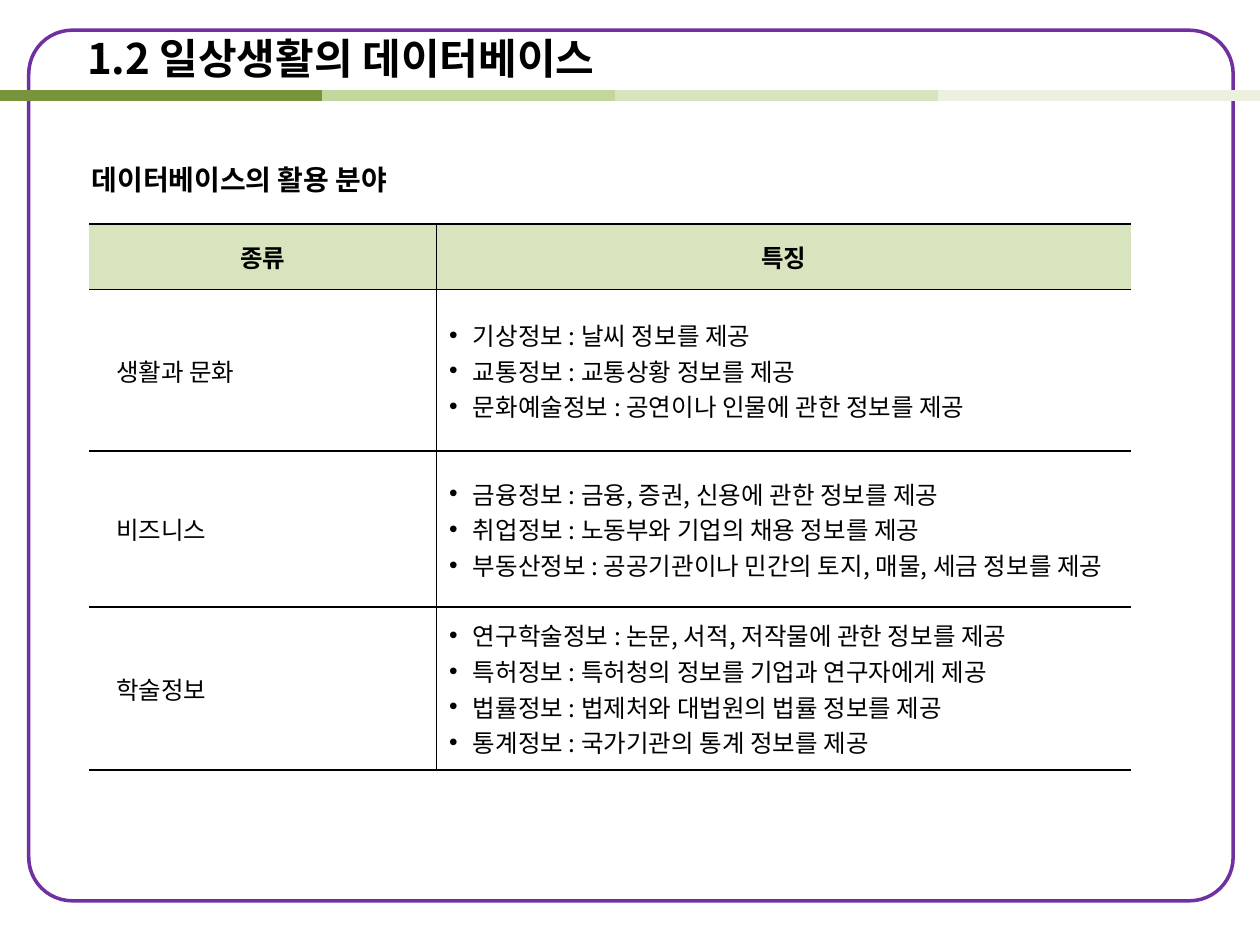
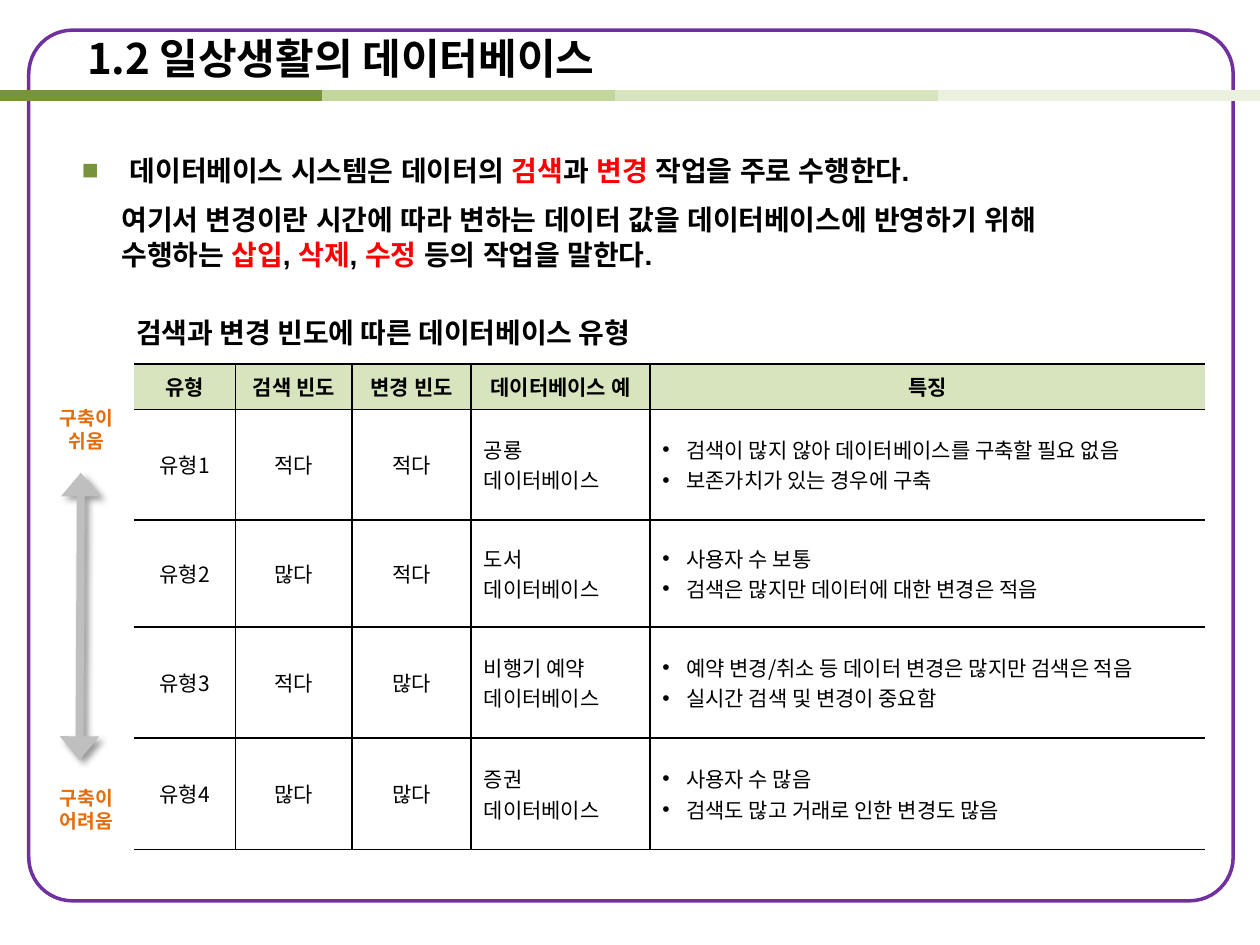
"""Builds two slides on databases in daily life, each with a table."""
from lxml.etree import SubElement
from pptx import Presentation
from pptx.dml.color import RGBColor
from pptx.enum.shapes import MSO_CONNECTOR, MSO_SHAPE
from pptx.enum.text import MSO_ANCHOR, PP_ALIGN
from pptx.oxml import parse_xml
from pptx.oxml.ns import nsdecls, qn
from pptx.util import Cm, Pt

FACE = "Noto Sans CJK KR"
BLACK, WHITE, RED, ORANGE = "000000", "FFFFFF", "FF0000", "E46C0A"
PURPLE, GRAY, GREEN, PALE = "7030A0", "BFBFBF", "77933C", "D7E4BD"
BANDS = [(0, 6.5, GREEN), (6.5, 12.4, "C3D69B"), (12.4, 18.9, PALE), (18.9, 25.4, "EBF1DE")]
hue = RGBColor.from_string


def style(frame, size, color=BLACK, bold=True, face=FACE):
    """Format every run of a text frame and centre it vertically."""
    frame.vertical_anchor = MSO_ANCHOR.MIDDLE
    for par in frame.paragraphs:
        for run in par.runs:
            font = run.font
            font.size, font.bold = Pt(size), bold
            font.color.rgb = hue(color)
            font.name = face
            props = run._r.get_or_add_rPr()
            props.set("kern", "0")
            SubElement(props, qn("a:ea")).set("typeface", face)


def mark(par, sign, width, color):
    """Give a paragraph a bullet with a hanging indent."""
    props = par._p.get_or_add_pPr()
    props.set("marL", str(Cm(width)))
    props.set("indent", str(-Cm(width)))
    tint = SubElement(props, qn("a:buClr"))
    SubElement(tint, qn("a:srgbClr")).set("val", color)
    SubElement(props, qn("a:buFont")).set("typeface", "Arial")
    SubElement(props, qn("a:buChar")).set("char", sign)


fields = [
    ["종류", "특징"],
    ["생활과 문화",
     "기상정보 : 날씨 정보를 제공\n교통정보 : 교통상황 정보를 제공\n"
     "문화예술정보 : 공연이나 인물에 관한 정보를 제공"],
    ["비즈니스",
     "금융정보 : 금융, 증권, 신용에 관한 정보를 제공\n"
     "취업정보 : 노동부와 기업의 채용 정보를 제공\n"
     "부동산정보 : 공공기관이나 민간의 토지, 매물, 세금 정보를 제공"],
    ["학술정보",
     "연구학술정보 : 논문, 서적, 저작물에 관한 정보를 제공\n"
     "특허정보 : 특허청의 정보를 기업과 연구자에게 제공\n"
     "법률정보 : 법제처와 대법원의 법률 정보를 제공\n"
     "통계정보 : 국가기관의 통계 정보를 제공"],
]
types = [
    ["유형", "검색 빈도", "변경 빈도", "데이터베이스 예", "특징"],
    ["유형1", "적다", "적다", "공룡\n데이터베이스",
     "검색이 많지 않아 데이터베이스를 구축할 필요 없음\n보존가치가 있는 경우에 구축"],
    ["유형2", "많다", "적다", "도서\n데이터베이스",
     "사용자 수 보통\n검색은 많지만 데이터에 대한 변경은 적음"],
    ["유형3", "적다", "많다", "비행기 예약\n데이터베이스",
     "예약 변경/취소 등 데이터 변경은 많지만 검색은 적음\n실시간 검색 및 변경이 중요함"],
    ["유형4", "많다", "많다", "증권\n데이터베이스",
     "사용자 수 많음\n검색도 많고 거래로 인한 변경도 많음"],
]
pages = [
    dict(head="데이터베이스의 활용 분야", box=(1.6, 3.23, 7.9, 0.79), data=fields,
         spot=(1.8, 4.52), cols=[7, 14], rows=[1.32, 3.25, 3.15, 3.28],
         size=14, mid=0, pad=0.54),
    dict(head="검색과 변경 빈도에 따른 데이터베이스 유형", box=(2.5, 6.3, 11.4, 0.79), data=types,
         spot=(2.7, 7.34), cols=[2.05, 2.35, 2.4, 3.6, 11.2],
         rows=[0.91, 2.23, 2.16, 2.24, 2.24], size=12, mid=3, pad=0.25),
]

deck = Presentation()
deck.slide_width, deck.slide_height = Cm(25.4), Cm(19.05)

for page in pages:
    slide = deck.slides.add_slide(deck.slide_layouts[5])
    shapes = slide.shapes

    frame = shapes.add_shape(MSO_SHAPE.ROUNDED_RECTANGLE, Cm(0.58), Cm(0.61), Cm(24.28), Cm(17.55))
    frame.adjustments[0] = 0.05
    frame.shadow.inherit = False
    frame.fill.background()
    frame.line.color.rgb = hue(PURPLE)
    frame.line.width = Pt(2)
    for start, end, color in BANDS:
        band = shapes.add_connector(MSO_CONNECTOR.STRAIGHT, Cm(start), Cm(1.93), Cm(end), Cm(1.93))
        band.line.color.rgb = hue(color)
        band.line.width = Pt(6)
        SubElement(band._element.spPr, qn("a:effectLst"))

    title = shapes.title
    title.left, title.top, title.width, title.height = Cm(1.5), Cm(0.41), Cm(21), Cm(1.52)
    title.text_frame.text = "1.2 일상생활의 데이터베이스"
    title.text_frame.paragraphs[0].alignment = PP_ALIGN.LEFT
    style(title.text_frame, 24)

    head = shapes.add_textbox(*map(Cm, page["box"])).text_frame
    head.word_wrap = True
    head.text = page["head"]
    style(head, 16)

    data, cols, rows = page["data"], page["cols"], page["rows"]
    last = len(cols) - 1
    area = map(Cm, (*page["spot"], sum(cols), sum(rows)))
    table = shapes.add_table(len(rows), len(cols), *area).table
    table.first_row = table.horz_banding = False
    for col, width in zip(table.columns, cols):
        col.width = Cm(width)
    for row, height in zip(table.rows, rows):
        row.height = Cm(height)
    for r, line in enumerate(data):
        for c, text in enumerate(line):
            cell = table.cell(r, c)
            cell.text_frame.text = text
            style(cell.text_frame, page["size"], bold=r == 0)
            cell.vertical_anchor = MSO_ANCHOR.MIDDLE
            if r and c == 0:
                cell.margin_left = Cm(page["pad"])
            for par in cell.text_frame.paragraphs:
                if r == 0 or c < page["mid"]:
                    par.alignment = PP_ALIGN.CENTER
                elif c == last:
                    mark(par, "•", 0.48, BLACK)
            props = cell._tc.get_or_add_tcPr()
            for side, shown in zip("LRTB", (c > 0, c < last, True, True)):
                edge = SubElement(props, qn(f"a:ln{side}"), w=str(Pt(1)))
                if shown:
                    paint = SubElement(edge, qn("a:solidFill"))
                    SubElement(paint, qn("a:srgbClr")).set("val", BLACK)
                else:
                    SubElement(edge, qn("a:noFill"))
            cell.fill.solid()
            cell.fill.fore_color.rgb = hue(WHITE if r else PALE)

body = shapes.add_textbox(Cm(1.4), Cm(2.97), Cm(23.29), Cm(15.19)).text_frame
body.word_wrap = True
lines = [
    ("데이터베이스 시스템은 데이터의 *검색*과 *변경* 작업을 주로 수행한다.", 19),
    ("여기서 변경이란 시간에 따라 변하는 데이터 값을 데이터베이스에 반영하기 위해", 28.5),
    ("수행하는 *삽입*, *삭제*, *수정* 등의 작업을 말한다.", 19.5),
]
for i, (text, gap) in enumerate(lines):
    par = body.add_paragraph() if i else body.paragraphs[0]
    par.line_spacing = Pt(gap)
    for part in text.split("*"):
        par.add_run().text = part
    if i:
        par._p.get_or_add_pPr().set("marL", str(Cm(0.8)))
    else:
        mark(par, "■", 0.97, GREEN)
style(body, 16, face="Arial")
body.vertical_anchor = MSO_ANCHOR.TOP
for par in body.paragraphs:
    for run in par.runs[1::2]:
        run.font.color.rgb = hue(RED)

arrow = shapes.add_connector(MSO_CONNECTOR.STRAIGHT, Cm(1.63), Cm(9.53), Cm(1.6), Cm(15.32))
arrow.line.color.rgb = hue(GRAY)
arrow.line.width = Pt(4.5)
edge = arrow._element.spPr.find(qn("a:ln"))
for end in ("headEnd", "tailEnd"):
    SubElement(edge, qn(f"a:{end}"), type="triangle", w="lg", len="med")
arrow._element.spPr.append(parse_xml(
    f'<a:effectLst {nsdecls("a")}><a:outerShdw blurRad="{Pt(4)}" dist="{Pt(3)}" dir="2700000">'
    f'<a:srgbClr val="{BLACK}"><a:alpha val="40000"/></a:srgbClr></a:outerShdw></a:effectLst>'))

for text, top, height in [("구축이\n쉬움", 8, 1.32), ("구축이\n어려움", 15.72, 1.19)]:
    label = shapes.add_textbox(Cm(0.99), Cm(top), Cm(1.5), Cm(height)).text_frame
    label.word_wrap = True
    label.margin_left = label.margin_right = label.margin_top = label.margin_bottom = 0
    label.text = text
    style(label, 11, ORANGE)
    for par in label.paragraphs:
        par.alignment = PP_ALIGN.CENTER
        par.line_spacing = Pt(13.2)

deck.save("out.pptx")
